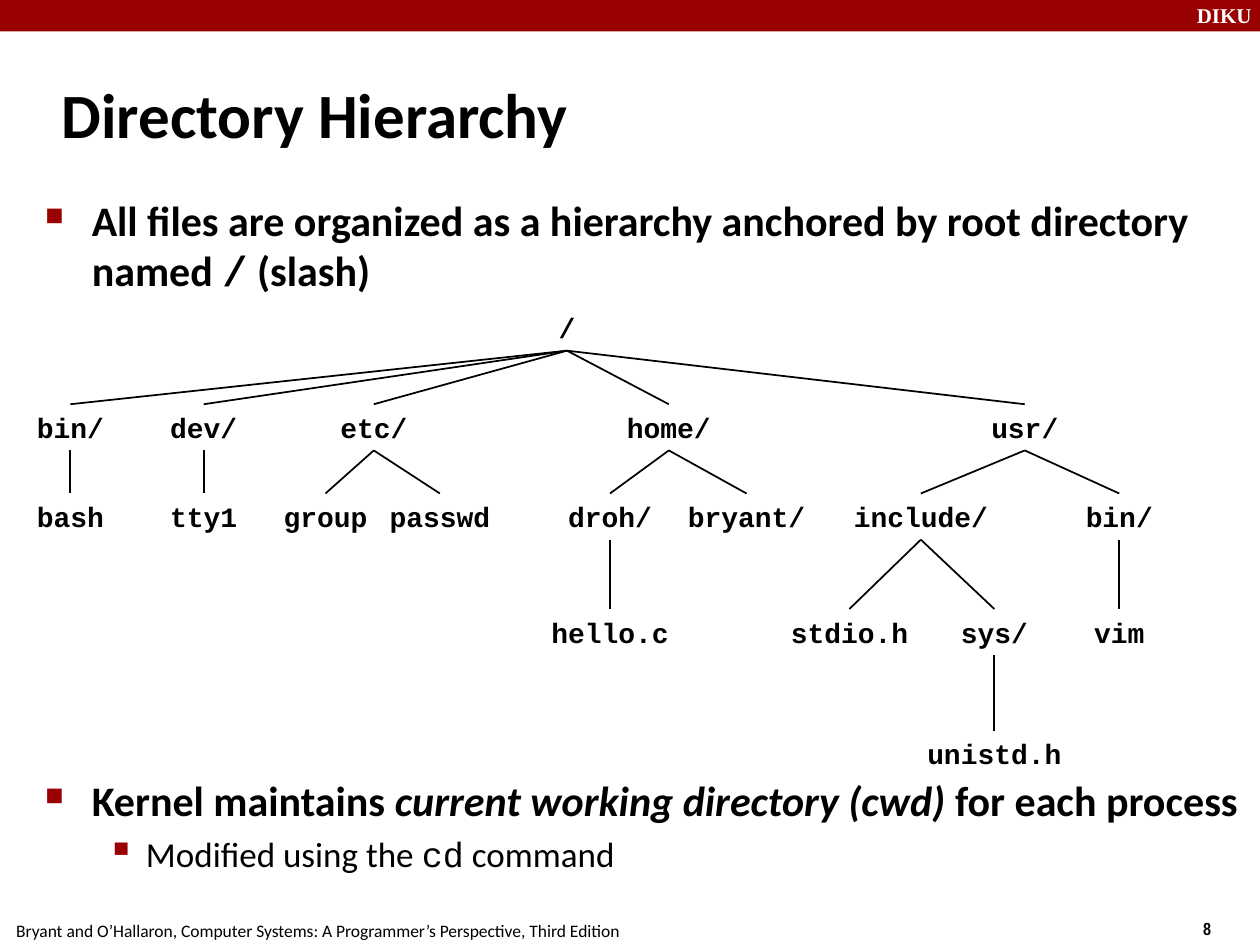
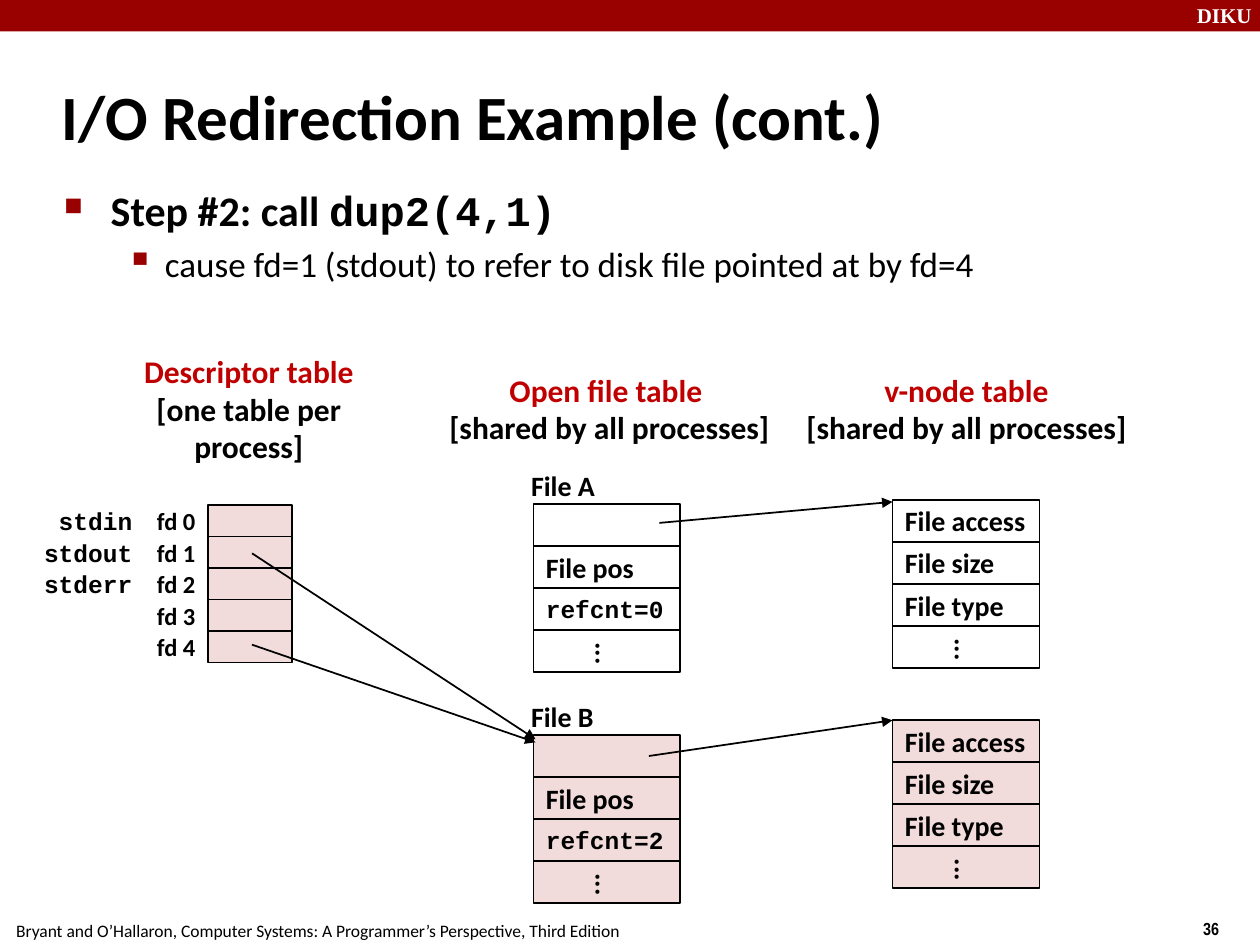
"""Build two lecture slides: a directory tree and an I/O redirection diagram."""
from dataclasses import dataclass
from typing import NamedTuple

from lxml import etree
from pptx import Presentation
from pptx import util as u
from pptx.dml.color import RGBColor
from pptx.enum import shapes, text
from pptx.oxml import ns

WIDTH, HEIGHT = u.Inches(10), u.Inches(7.5)
COLUMNS, ROWS = 120, 90
COLORS = {"band": "990000", "heading": "C00000", "pink": "F2DCDB", "white": "FFFFFF", "black": "000000"}
SANS, MONO = "Calibri", "Courier New"
LEFT, CENTER, RIGHT = text.PP_ALIGN.LEFT, text.PP_ALIGN.CENTER, text.PP_ALIGN.RIGHT
TOP, MIDDLE = text.MSO_ANCHOR.TOP, text.MSO_ANCHOR.MIDDLE
LABEL_HEIGHT, LABEL_PADDING, LETTER_WIDTH = 4.4, 2.4, 1.6
LEVEL_TOPS = (29, 38.5, 47, 58, 69.6)


class Area(NamedTuple):
    left: float
    top: float
    width: float
    height: float


class Style(NamedTuple):
    size: float
    font: str = SANS
    bold: bool = True
    color: str = "black"


class Run(NamedTuple):
    text: str
    font: str = SANS
    italic: bool = False


class BulletLevel(NamedTuple):
    style: Style
    margin: float
    indent: float
    space: float
    mark: str
    percent: int


class Cell(NamedTuple):
    text: str = ""
    style: Style = Style(16)
    vertical: bool = False


@dataclass
class Node:
    label: str
    center: float
    children: tuple = ()


@dataclass
class Stack:
    left: float
    top: float
    width: float
    row_height: float
    fill: str
    cells: tuple


BULLETS = (
    BulletLevel(Style(24), 0.38, -0.37, 4.8, "■", 60),
    BulletLevel(Style(20, bold=False), 0.81, -0.31, 4, "▪", 110),
)

TREE = Node("/", 54, (
    Node("bin/", 6.7, (Node("bash", 6.7),)),
    Node("dev/", 19.4, (Node("tty1", 19.4),)),
    Node("etc/", 35.6, (Node("group", 31), Node("passwd", 41.9))),
    Node("home/", 63.7, (
        Node("droh/", 58.1, (Node("hello.c", 58.1),)),
        Node("bryant/", 71.1),
    )),
    Node("usr/", 97.6, (
        Node("include/", 87.7, (
            Node("stdio.h", 80.9),
            Node("sys/", 94.7, (Node("unistd.h", 94.7),)),
        )),
        Node("bin/", 106.6, (Node("vim", 106.6),)),
    )),
))


def across(columns: float) -> int:
    return round(WIDTH * columns / COLUMNS)


def down(rows: float) -> int:
    return round(HEIGHT * rows / ROWS)


def bounds(area: Area) -> tuple:
    return across(area.left), down(area.top), across(area.width), down(area.height)


def rgb(name: str) -> RGBColor:
    return RGBColor.from_string(COLORS[name])


def apply_style(paragraph, style: Style) -> None:
    font = paragraph.font
    font.size, font.name, font.bold = u.Pt(style.size), style.font, style.bold
    font.color.rgb = rgb(style.color)


def write(shape, content: str, style: Style, align=LEFT, anchor=TOP, wrap=False):
    frame = shape.text_frame
    frame.word_wrap, frame.vertical_anchor = wrap, anchor
    paragraph = frame.paragraphs[0]
    paragraph.text, paragraph.alignment = content, align
    apply_style(paragraph, style)
    return shape


def add_label(slide, area: Area, content: str, style: Style, align=LEFT, anchor=TOP, wrap=False):
    return write(slide.shapes.add_textbox(*bounds(area)), content, style, align, anchor, wrap)


def add_rectangle(slide, area: Area, fill: str, outlined: bool = True):
    shape = slide.shapes.add_shape(shapes.MSO_SHAPE.RECTANGLE, *bounds(area))
    shape.shadow.inherit = False
    shape.fill.solid()
    shape.fill.fore_color.rgb = rgb(fill)
    if outlined:
        shape.line.color.rgb, shape.line.width = rgb("black"), u.Pt(1)
    else:
        shape.line.fill.background()
    return shape


def add_line(slide, start: tuple = (0, 0), end: tuple = (0, 0), arrow: bool = False):
    line = slide.shapes.add_connector(
        shapes.MSO_CONNECTOR.STRAIGHT, across(start[0]), down(start[1]), across(end[0]), down(end[1]))
    line.line.color.rgb, line.line.width = rgb("black"), u.Pt(1)
    properties = line.element.spPr
    if arrow:
        etree.SubElement(properties.find(ns.qn("a:ln")), ns.qn("a:tailEnd"), type="triangle")
    etree.SubElement(properties, ns.qn("a:effectLst"))
    return line


def add_bullets(slide, area: Area, items: tuple) -> None:
    frame = slide.shapes.add_textbox(*bounds(area)).text_frame
    frame.word_wrap = True
    for index, (level, runs) in enumerate(items):
        paragraph = frame.add_paragraph() if index else frame.paragraphs[0]
        bullet = BULLETS[level]
        paragraph.level, paragraph.space_before = level, u.Pt(bullet.space)
        apply_style(paragraph, bullet.style)
        properties = paragraph._p.get_or_add_pPr()
        properties.set("marL", str(u.Inches(bullet.margin)))
        properties.set("indent", str(u.Inches(bullet.indent)))
        marks = [etree.Element(ns.qn(f"a:{tag}")) for tag in ("buClr", "buSzPct", "buChar")]
        etree.SubElement(marks[0], ns.qn("a:srgbClr"), val=COLORS["band"])
        marks[1].set("val", str(bullet.percent * 1000))
        marks[2].set("char", bullet.mark)
        defaults = properties.find(ns.qn("a:defRPr"))
        for mark in marks:
            defaults.addprevious(mark)
        for item in runs:
            run = paragraph.add_run()
            run.text = item.text
            run.font.name, run.font.italic = item.font, item.italic


def add_base_slide(presentation, title: str, title_top: float, number: int):
    slide = presentation.slides.add_slide(presentation.slide_layouts[6])
    add_rectangle(slide, Area(0, 0, COLUMNS, 3), "band", outlined=False)
    add_label(slide, Area(112.8, -0.36, 8, 3.6), "DIKU", Style(12, "Times New Roman", color="white"))
    add_label(slide, Area(113.4, 86.8, 9, 3.5), str(number), Style(10, "Arial Narrow"))
    add_label(slide, Area(0.36, 87, 59.9, 3.2),
              "Bryant and O’Hallaron, Computer Systems: A Programmer’s Perspective, Third Edition",
              Style(10, bold=False))
    add_label(slide, Area(4.7, title_top, 99.6, 10), title, Style(36), anchor=MIDDLE, wrap=True)
    return slide


def draw_tree(slide, node: Node, depth: int = 0):
    width = len(node.label) * LETTER_WIDTH + LABEL_PADDING
    area = Area(node.center - width / 2, LEVEL_TOPS[depth], width, LABEL_HEIGHT)
    label = add_label(slide, area, node.label, Style(16, MONO), CENTER)
    for child in node.children:
        child_label = draw_tree(slide, child, depth + 1)
        branch = add_line(slide)
        branch.begin_connect(label, 2)
        branch.end_connect(child_label, 0)
    return label


def draw_stack(slide, stack: Stack) -> None:
    for row, cell in enumerate(stack.cells):
        area = Area(stack.left, stack.top + row * stack.row_height, stack.width, stack.row_height)
        shape = add_rectangle(slide, area, stack.fill)
        if cell.text:
            write(shape, cell.text, cell.style, anchor=MIDDLE)
        if cell.vertical:
            shape.element.txBody.bodyPr.set("vert", "vert")


def build_hierarchy(presentation) -> None:
    slide = add_base_slide(presentation, "Directory Hierarchy", 5.8, 8)
    add_bullets(slide, Area(3, 17.9, 116.8, 11), (
        (0, (Run("All files are organized as a hierarchy anchored by root directory named "),
             Run("/", MONO), Run(" (slash)"))),
    ))
    add_bullets(slide, Area(3, 73.2, 116.8, 12), (
        (0, (Run("Kernel maintains "), Run("current working directory (cwd) ", italic=True),
             Run("for each process"))),
        (1, (Run("Modified using the "), Run("cd", MONO), Run(" command"))),
    ))
    draw_tree(slide, TREE)


def build_redirection(presentation) -> None:
    slide = add_base_slide(presentation, "I/O Redirection Example (cont.)", 6, 36)
    add_bullets(slide, Area(4.8, 17, 113.2, 13), (
        (0, (Run("Step #2: call "), Run("dup2(4,1)", MONO))),
        (1, (Run("cause fd=1 (stdout) to refer to disk file pointed at by fd=4"),)),
    ))

    for left, width, name, scope in (
        (8.2, 31, "Descriptor table", "[one table per process]"),
        (41.6, 32.9, "Open file table ", "[shared by all processes]"),
        (75.6, 32.9, "v-node table", "[shared by all processes]"),
    ):
        heading = add_label(slide, Area(left, 34.7, width, 8.4), name,
                            Style(18, color="heading"), CENTER, MIDDLE)
        paragraph = heading.text_frame.add_paragraph()
        paragraph.text, paragraph.alignment = scope, CENTER
        apply_style(paragraph, Style(18))

    descriptors = Stack(19.8, 48.1, 8, 3, "pink", (Cell(),) * 5)
    draw_stack(slide, descriptors)
    for row in range(len(descriptors.cells)):
        add_label(slide, Area(11.8, descriptors.top + row * 3, 8, 3), f"fd {row}", Style(14), RIGHT, MIDDLE)
    for row, stream in enumerate(("stdin", "stdout", "stderr")):
        add_label(slide, Area(3, 47.6 + row * 3, 10.8, 4), stream, Style(14, MONO), RIGHT, MIDDLE)

    dots = Cell("...", vertical=True)
    attributes = (Cell("File access"), Cell("File size"), Cell("File type"), dots)
    for name, count, fill, file_top, node_top in (
        ("File A", 0, "white", 48, 47.6),
        ("File B", 2, "pink", 70, 68.6),
    ):
        entry = (Cell(), Cell("File pos"), Cell(f"refcnt={count}", Style(14, MONO)), dots)
        draw_stack(slide, Stack(50.8, file_top, 14, 4, fill, entry))
        draw_stack(slide, Stack(85, node_top, 14, 4, fill, attributes))
        add_label(slide, Area(49.4, file_top - 4, 8.5, 4.4), name, Style(16), anchor=MIDDLE)

    for start, end in (
        ((24, 52.7), (51, 70.4)),
        ((24, 61.4), (51, 70.7)),
        ((62.8, 49.8), (85, 47.8)),
        ((61.8, 72), (85, 68.6)),
    ):
        add_line(slide, start, end, arrow=True)


def main() -> None:
    presentation = Presentation()
    presentation.slide_width, presentation.slide_height = WIDTH, HEIGHT
    build_hierarchy(presentation)
    build_redirection(presentation)
    presentation.save("out.pptx")


if __name__ == "__main__":
    main()
